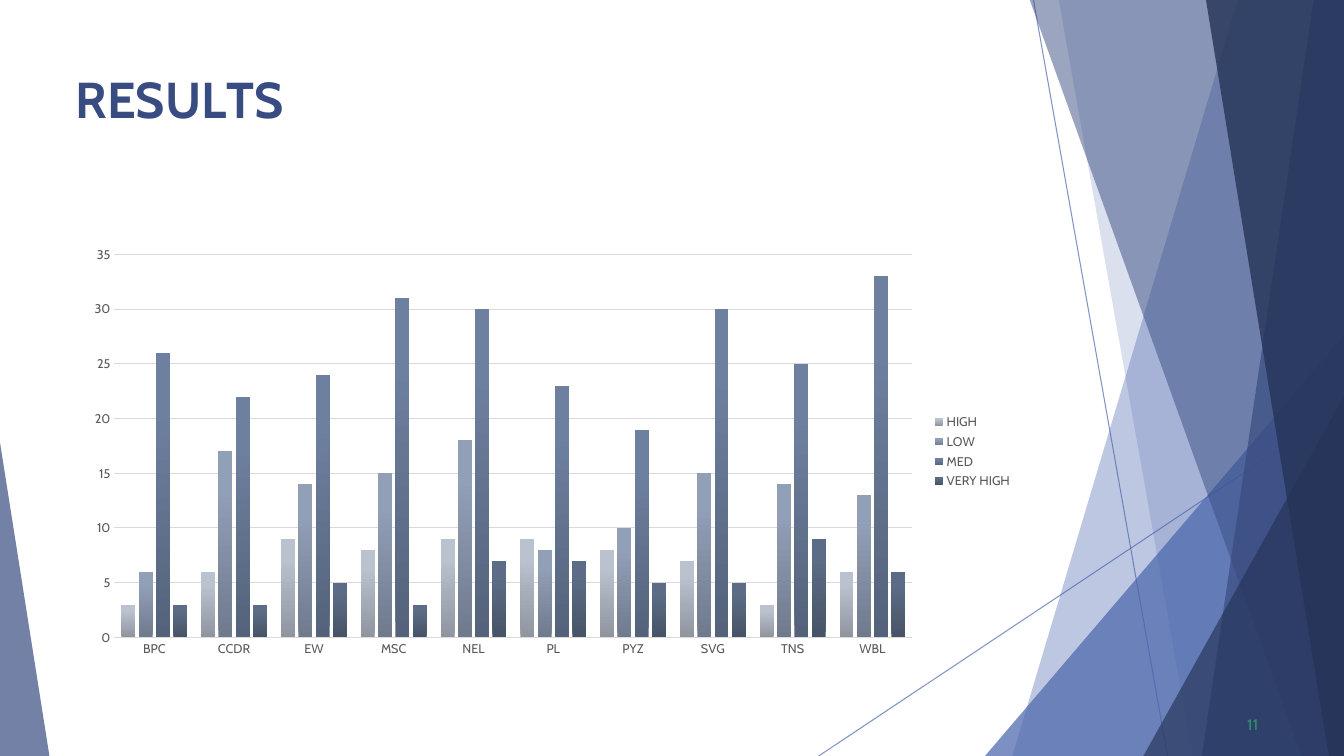
from lxml import etree
from pptx import Presentation
from pptx.chart.data import CategoryChartData
from pptx.dml.color import RGBColor
from pptx.enum.chart import XL_CHART_TYPE, XL_LEGEND_POSITION, XL_TICK_MARK
from pptx.enum.shapes import MSO_CONNECTOR, MSO_SHAPE
from pptx.enum.text import MSO_ANCHOR, MSO_AUTO_SIZE, PP_ALIGN
from pptx.oxml import parse_xml
from pptx.oxml.ns import nsdecls, qn
from pptx.util import Inches, Pt

COLUMNS = XL_CHART_TYPE.COLUMN_CLUSTERED
LEGEND_RIGHT = XL_LEGEND_POSITION.RIGHT
NO_TICK = XL_TICK_MARK.NONE
STRAIGHT = MSO_CONNECTOR.STRAIGHT
TRIANGLE = MSO_SHAPE.ISOSCELES_TRIANGLE
TOP = MSO_ANCHOR.TOP
NO_FIT = MSO_AUTO_SIZE.NONE
LEFT = PP_ALIGN.LEFT

FONT = "Cabin"
BLUE = RGBColor(0x4A, 0x66, 0xAC)
NAVY = RGBColor(0x38, 0x4C, 0x81)
DARK = RGBColor(0x25, 0x33, 0x56)
GREEN = RGBColor(0x2D, 0x93, 0x6B)
GREY = RGBColor(0x59, 0x59, 0x59)
LIGHT = RGBColor(0xD9, 0xD9, 0xD9)

SLIDE_W, SLIDE_H = 13.33, 7.5
BAND_TOP = -0.01

# Bands reach the right edge: top-left x, bottom-left x, colour, opacity in %
BACK_BANDS = [(12.28, 10.04, BLUE, 36), (10.5, 11.83, BLUE, 20)]
FRONT_BANDS = [(10.21, 12.91, NAVY, 50), (13.03, 11.92, NAVY, 70),
               (11.96, 13.18, DARK, 80)]

# Title letters with their spacing in points
TITLE_RUNS = [("R", 0), ("E", -0.4), ("S", 0.1), ("U", -0.3), ("L", -4), ("TS", 0)]

CATEGORIES = ["BPC", "CCDR", "EW", "MSC", "NEL", "PL", "PYZ", "SVG", "TNS", "WBL"]
# Name, values, gradient colours from the foot of the column up
SERIES = [
    ("HIGH", (3, 6, 9, 8, 9, 9, 8, 7, 3, 6), ("8F959F", "BAC1CF", "BBC2D0")),
    ("LOW", (6, 17, 14, 15, 18, 8, 10, 15, 14, 13), ("6F7A8D", "919FB7", "919FB9")),
    ("MED", (26, 22, 24, 31, 30, 23, 19, 30, 25, 33), ("54637B", "6E809F", "6D81A1")),
    ("VERY HIGH", (3, 3, 5, 3, 7, 7, 5, 5, 9, 6), ("475367", "5C6C86", "5C6D87")),
]
GRADIENT_STOPS = (0, 80, 100)
# Inner plot area as fractions of the chart
PLOT_AREA = {"x": 0.042, "y": 0.039, "w": 0.842, "h": 0.896}


def set_attrs(obj, **values):
    for name, value in values.items():
        setattr(obj, name, value)


def set_opacity(sp, percent):
    color = sp._element.spPr.find(".//" + qn("a:srgbClr"))
    etree.SubElement(color, qn("a:alpha")).set("val", str(percent * 1000))


def paint(sp, color, opacity):
    sp.shadow.inherit = False
    sp.fill.solid()
    sp.fill.fore_color.rgb = color
    sp.line.fill.background()
    set_opacity(sp, opacity)


def add_line(slide, x1, y1, x2, y2):
    line = slide.shapes.add_connector(
        STRAIGHT, Inches(x1), Inches(y1), Inches(x2), Inches(y2))
    line.line.color.rgb = BLUE
    line.line.width = Pt(0.75)
    set_opacity(line, 70)
    etree.SubElement(line._element.spPr, qn("a:effectLst"))


def add_band(slide, top_x, bottom_x, color, opacity):
    builder = slide.shapes.build_freeform(Inches(top_x), Inches(BAND_TOP))
    corners = [(SLIDE_W, BAND_TOP), (SLIDE_W, SLIDE_H), (bottom_x, SLIDE_H)]
    builder.add_line_segments([(Inches(x), Inches(y)) for x, y in corners])
    paint(builder.convert_to_shape(), color, opacity)


def add_triangle(slide, left, top, width, apex, color, opacity):
    sp = slide.shapes.add_shape(TRIANGLE, Inches(left), Inches(top),
                                Inches(width), Inches(SLIDE_H - top))
    sp.adjustments[0] = apex
    paint(sp, color, opacity)


def add_decoration(slide):
    add_line(slide, 10.25, 0, 11.58, SLIDE_H)
    add_line(slide, SLIDE_W, 4.03, 8.12, SLIDE_H)
    for band in BACK_BANDS:
        add_band(slide, *band)
    add_triangle(slide, 9.77, 3.33, 3.56, 1, BLUE, 72)
    for band in FRONT_BANDS:
        add_band(slide, *band)
    add_triangle(slide, 11.34, 3.93, 1.99, 1, DARK, 66)
    add_triangle(slide, 0, 4.39, 0.49, 0, NAVY, 70)


def write_line(sp, box, runs, indent, space, size, color, bold=False):
    left, top, width, height = map(Inches, box)
    set_attrs(sp, left=left, top=top, width=width, height=height)
    tf = sp.text_frame
    set_attrs(tf, margin_left=0, margin_top=Inches(0.01), margin_right=0,
              margin_bottom=0, word_wrap=True, auto_size=NO_FIT,
              vertical_anchor=TOP)
    p = tf.paragraphs[0]
    set_attrs(p, alignment=LEFT, space_before=Pt(space))
    p._p.get_or_add_pPr().set("marL", str(Inches(indent)))
    for text, spacing in runs:
        r = p.add_run()
        r.text = text
        set_attrs(r.font, name=FONT, size=Pt(size), bold=bold)
        r.font.color.rgb = color
        r._r.get_or_add_rPr().set("spc", str(round(spacing * 100)))


def style_font(font, size):
    set_attrs(font, name=FONT, size=Pt(size))
    font.color.rgb = GREY


def fill_gradient(series, colors):
    stops = "".join(
        f'<a:gs pos="{pos * 1000}"><a:srgbClr val="{color}"/></a:gs>'
        for pos, color in zip(GRADIENT_STOPS, colors))
    series._element.get_or_add_spPr().insert(0, parse_xml(
        f'<a:gradFill {nsdecls("a")}><a:gsLst>{stops}</a:gsLst>'
        '<a:lin ang="16200000" scaled="0"/></a:gradFill>'))


def place_plot(chart):
    plot_area = chart._chartSpace.chart.plotArea
    for old in plot_area.findall(qn("c:layout")):
        plot_area.remove(old)
    modes = "".join(f'<c:{k}Mode val="edge"/>' for k in "xy")
    sizes = "".join(f'<c:{k} val="{v}"/>' for k, v in PLOT_AREA.items())
    plot_area.insert(0, parse_xml(
        f'<c:layout {nsdecls("c")}><c:manualLayout><c:layoutTarget val="inner"/>'
        f'{modes}{sizes}</c:manualLayout></c:layout>'))


def add_results_chart(slide):
    data = CategoryChartData()
    data.categories = CATEGORIES
    for name, values, _ in SERIES:
        data.add_series(name, values)
    chart = slide.shapes.add_chart(COLUMNS, Inches(0.74), Inches(2.36),
                                   Inches(9.4), Inches(4.24), data).chart
    set_attrs(chart, has_title=False, has_legend=True)
    style_font(chart.font, 10)
    set_attrs(chart.legend, position=LEGEND_RIGHT, include_in_layout=False)
    style_font(chart.legend.font, 9)

    # Columns
    plot = chart.plots[0]
    set_attrs(plot, gap_width=100, overlap=-24, vary_by_categories=False)
    for series, (_, _, colors) in zip(plot.series, SERIES):
        fill_gradient(series, colors)

    # Axes
    for axis in (chart.category_axis, chart.value_axis):
        set_attrs(axis, major_tick_mark=NO_TICK, minor_tick_mark=NO_TICK)
        style_font(axis.tick_labels.font, 9)
    base = chart.category_axis.format.line
    base.color.rgb = LIGHT
    base.width = Pt(1)
    scale = chart.value_axis
    set_attrs(scale, minimum_scale=0, maximum_scale=35, major_unit=5,
              has_major_gridlines=True)
    scale.format.line.fill.background()
    grid = scale.major_gridlines.format.line
    grid.color.rgb = LIGHT
    grid.width = Pt(0.75)
    place_plot(chart)


def main():
    prs = Presentation()
    set_attrs(prs, slide_width=Inches(SLIDE_W), slide_height=Inches(SLIDE_H))
    slide = prs.slides.add_slide(prs.slide_layouts[5])
    add_decoration(slide)

    # Title, in front of the decoration
    title = slide.shapes.title
    slide.shapes._spTree.append(title._element)
    write_line(title, (0.74, 0.67, 9.4, 1.44), TITLE_RUNS, 0.01, 1.1, 36, NAVY, True)

    # Page number
    page = slide.shapes.add_textbox(0, 0, 0, 0)
    write_line(page, (12.33, 7.08, 0.25, 0.21), [("11", 0.1)], 0.04, 0.6, 11, GREEN)

    add_results_chart(slide)
    prs.save("out.pptx")


if __name__ == "__main__":
    main()
